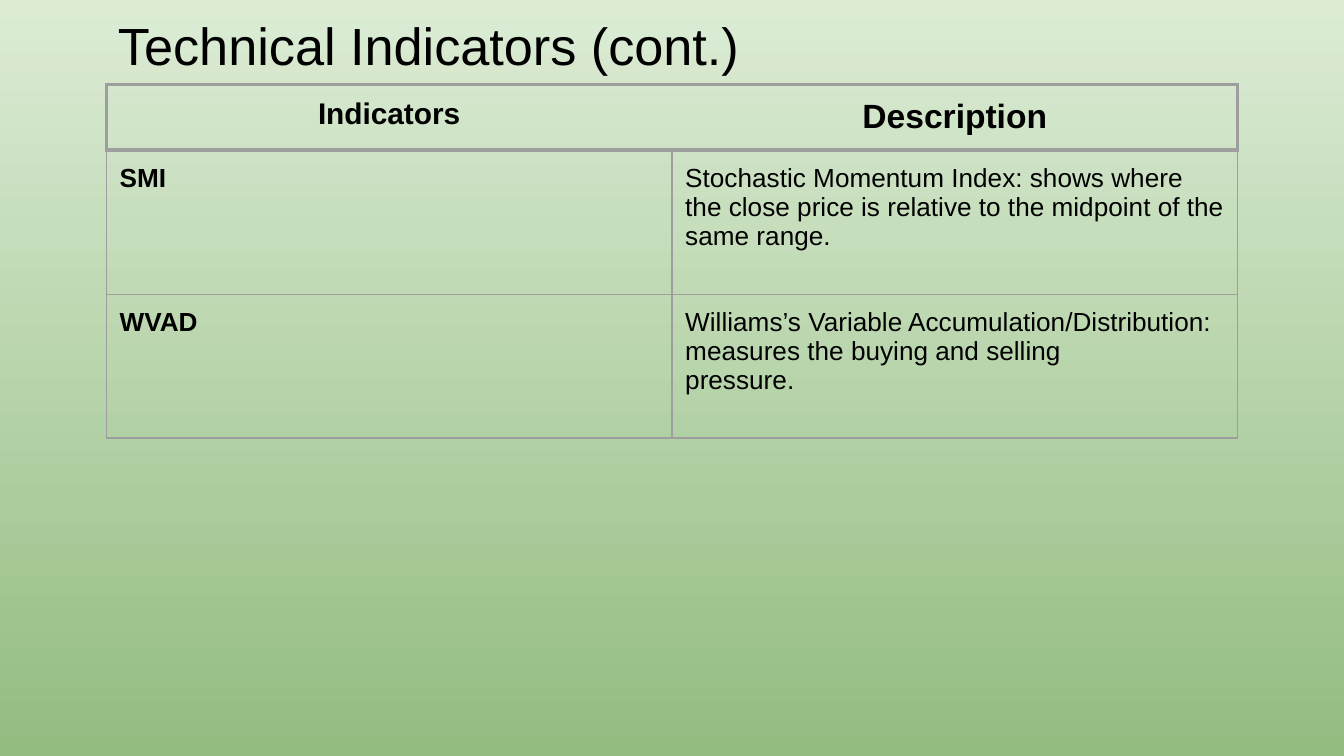
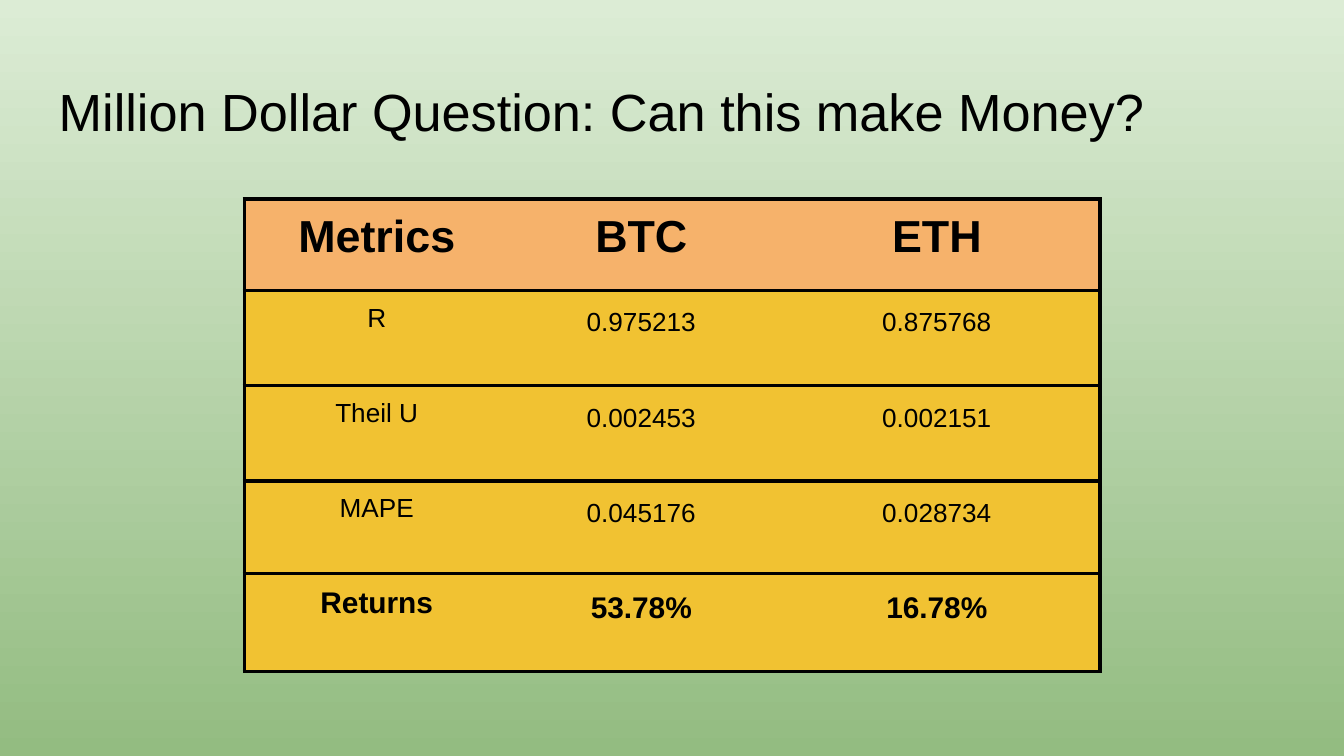
from dataclasses import dataclass

from lxml.etree import SubElement
from pptx import Presentation
from pptx.dml.color import RGBColor as RGB
from pptx.enum.text import MSO_ANCHOR as Anchor, MSO_AUTO_SIZE as AutoSize, PP_ALIGN as Align
from pptx.oxml import parse_xml
from pptx.oxml.ns import nsdecls, qn
from pptx.util import Cm, Pt


# Colours and type sizes
@dataclass(frozen=True)
class Theme:
    font: str = "Arial"
    ink: str = "000000"
    bg_top: str = "DCECD5"
    bg_bottom: str = "93BC81"
    grey: str = "9E9E9E"
    orange: str = "F6B26B"
    yellow: str = "F1C232"
    title: int = 28
    head: int = 24
    subhead: int = 18
    strong: int = 16
    body: int = 14
    thick: float = 2.25
    thin: float = 0.75
    inset: float = 0.25


class Deck:
    """Holds the style and the current slide."""

    def __init__(self, theme):
        self.theme = theme
        self.prs = Presentation()
        self.prs.slide_width, self.prs.slide_height = Cm(25.4), Cm(14.29)
        self.slide = None
        # Shared background
        fill = self.prs.slide_master.background.fill
        fill.gradient()
        fill.gradient_angle = 270
        for stop, color in zip(fill.gradient_stops, (theme.bg_top, theme.bg_bottom)):
            stop.color.rgb = RGB.from_string(color)

    def style(self, p, size, bold=False, align=Align.LEFT, spacing=1.0):
        p.font.name, p.font.size, p.font.bold = self.theme.font, Pt(size), bold
        p.font.color.rgb = RGB.from_string(self.theme.ink)
        p.alignment, p.line_spacing = align, spacing

    def new_slide(self, title, left, top):
        self.slide = self.prs.slides.add_slide(self.prs.slide_layouts[5])
        sp = self.slide.shapes.title
        sp.left, sp.top, sp.width, sp.height = Cm(left), Cm(top), Cm(23.67), Cm(1.6)
        tf = sp.text_frame
        tf.word_wrap, tf.auto_size, tf.vertical_anchor = True, AutoSize.NONE, Anchor.TOP
        self.set_margins(tf)
        p = tf.paragraphs[0]
        p.text = title
        self.style(p, self.theme.title)

    def set_margins(self, box):
        box.margin_left = box.margin_right = Cm(self.theme.inset)
        box.margin_top = box.margin_bottom = Cm(self.theme.inset)

    def table(self, left, top, widths, heights):
        frame = self.slide.shapes.add_table(
            len(heights), len(widths), Cm(left), Cm(top), Cm(sum(widths)), Cm(sum(heights)))
        table = frame.table
        table.first_row = table.horz_banding = False
        for col, width in zip(table.columns, widths):
            col.width = Cm(width)
        for row, height in zip(table.rows, heights):
            row.height = Cm(height)
        return table

    def cell(self, cell, text, fill=None, **style):
        self.set_margins(cell)
        cell.vertical_anchor = Anchor.TOP
        p = cell.text_frame.paragraphs[0]
        p.text = text
        self.style(p, **style)
        if fill:
            cell.fill.solid()
            cell.fill.fore_color.rgb = RGB.from_string(fill)
        else:
            cell.fill.background()

    def borders(self, cell, color, **widths):
        """Draw the sides named in widths (L, R, T, B) and clear the others."""
        props = cell._tc.get_or_add_tcPr()
        for i, side in enumerate("LRTB"):
            ln = parse_xml(f"<a:ln{side} {nsdecls('a')}/>")
            if side in widths:
                ln.set("w", str(Pt(widths[side])))
                SubElement(SubElement(ln, qn("a:solidFill")), qn("a:srgbClr")).set("val", color)
            else:
                SubElement(ln, qn("a:noFill"))
            props.insert(i, ln)

    def band(self, cells, color):
        """Frame a whole row, without lines between its cells."""
        for i, cell in enumerate(cells):
            sides = "TB" + "L" * (i == 0) + "R" * (i == len(cells) - 1)
            self.borders(cell, color, **dict.fromkeys(sides, self.theme.thick))


def indicators_slide(deck):
    th = deck.theme
    deck.new_slide("Technical Indicators (cont.)", 1.98, 0)
    table = deck.table(2.01, 1.6, [10.69] * 2, [1.24, 2.72, 2.72])

    # Header row
    header = [table.cell(0, c) for c in range(2)]
    for cell, text, size in zip(header, ("Indicators", "Description"), (th.strong, th.subhead)):
        deck.cell(cell, text, size=size, bold=True, align=Align.CENTER)
    deck.band(header, th.grey)

    # Indicator rows
    indicators = [
        ("SMI", "Stochastic Momentum Index: shows where the close price is relative "
                "to the midpoint of the same range."),
        ("WVAD", "Williams’s Variable Accumulation/Distribution: measures the buying "
                 "and selling\npressure."),
    ]
    for r, row in enumerate(indicators, 1):
        top = th.thick if r == 1 else th.thin
        for c, text in enumerate(row):
            cell = table.cell(r, c)
            deck.cell(cell, text, size=th.body, bold=c == 0)
            deck.borders(cell, th.grey, L=th.thin, R=th.thin, T=top, B=th.thin)


def returns_slide(deck):
    th = deck.theme
    deck.new_slide("Million Dollar Question: Can this make Money?", 0.86, 1.24)
    table = deck.table(4.62, 3.76, [5, 5, 6.17], [1.73, 1.8, 1.8, 1.75, 1.85])

    metrics = [
        ("Metrics", "BTC", "ETH"),
        ("R", "0.975213", "0.875768"),
        ("Theil U", "0.002453", "0.002151"),
        ("MAPE", "0.045176", "0.028734"),
        ("Returns", "53.78%", "16.78%"),
    ]
    last = len(metrics) - 1
    for r, row in enumerate(metrics):
        cells = [table.cell(r, c) for c in range(len(row))]
        size = {0: th.head, last: th.strong}.get(r, th.body)
        for c, text in enumerate(row):
            deck.cell(cells[c], text, fill=th.yellow if r else th.orange, size=size,
                      bold=r in (0, last), align=Align.CENTER,
                      spacing=1.15 if r and c else 1.0)
        deck.band(cells, th.ink)


def main():
    deck = Deck(Theme())
    indicators_slide(deck)
    returns_slide(deck)
    deck.prs.save("out.pptx")


if __name__ == "__main__":
    main()
